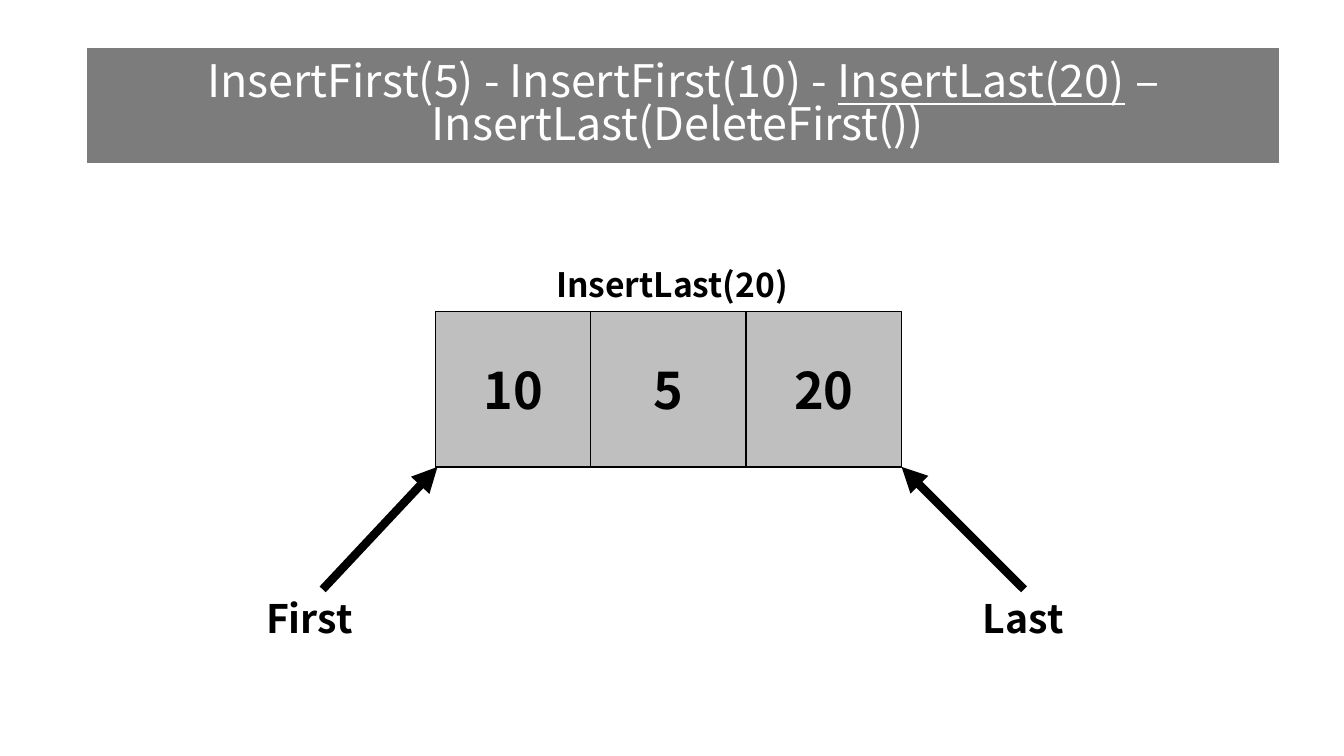
from lxml.etree import SubElement
from pptx import Presentation
from pptx.dml.color import RGBColor
from pptx.enum.shapes import MSO_CONNECTOR as Connector, MSO_SHAPE as Shape
from pptx.enum.text import MSO_ANCHOR as Anchor, MSO_AUTO_SIZE as AutoSize, PP_ALIGN as Align
from pptx.oxml.ns import qn
from pptx.util import Pt

FONT = "Noto Sans CJK KR"
COLORS = {"white": "FFFFFF", "black": "000000", "banner": "7C7C7C", "cell": "BFBFBF"}


def color(name):
    """Return the palette colour of that name."""
    return RGBColor.from_string(COLORS[name])


def place(shape, box):
    """Move a shape to a box of left, top, width and height in points."""
    shape.left, shape.top, shape.width, shape.height = (Pt(length) for length in box)


def paint(shape, fill, line):
    """Fill and outline a shape."""
    shape.fill.solid()
    shape.fill.fore_color.rgb = color(fill)
    shape.line.color.rgb = color(line)
    shape.line.width = Pt(1)


def write(para, text, size, ink="black", bold=True, underline=False):
    """Add one formatted run to a centred paragraph."""
    para.alignment = Align.CENTER
    span = para.add_run()
    span.text = text
    span.font.name = FONT
    span.font.size = Pt(size)
    span.font.bold = bold
    span.font.underline = underline
    span.font.color.rgb = color(ink)


def add_banner(page, box, spans):
    """Turn the title into a grey banner with the operations, some underlined."""
    title = page.shapes.title
    place(title, box)
    paint(title, "banner", "white")
    frame = title.text_frame
    frame.auto_size = AutoSize.NONE
    frame.vertical_anchor = Anchor.MIDDLE
    para = frame.paragraphs[0]
    para.line_spacing = 0.8
    for text, underline in spans:
        write(para, text, 32, "white", False, underline)


def add_label(page, box, text, size):
    """Add a bold centred caption."""
    label = page.shapes.add_textbox(*(Pt(length) for length in box))
    label.text_frame.word_wrap = True
    label.text_frame.auto_size = AutoSize.SHAPE_TO_FIT_TEXT
    write(label.text_frame.paragraphs[0], text, size)


def add_pointer(page, start, end):
    """Draw a thick arrow from start to end."""
    arrow = page.shapes.add_connector(Connector.STRAIGHT, *(Pt(value) for value in start + end))
    arrow.line.color.rgb = color("black")
    arrow.line.width = Pt(6)
    SubElement(arrow.line._get_or_add_ln(), qn("a:tailEnd"), type="triangle")
    SubElement(arrow._element.spPr, qn("a:effectLst"))


def add_deque(page, box, operation, values):
    """Draw the cells in a box, the operation above and the end pointers below."""
    left, top, width, height = box
    side = width / len(values)
    for index, value in enumerate(values):
        cell = page.shapes.add_shape(Shape.RECTANGLE, 0, 0, 0, 0)
        place(cell, (left + index * side, top, side, height))
        cell.shadow.inherit = False
        paint(cell, "cell", "black")
        cell.text_frame.vertical_anchor = Anchor.MIDDLE
        write(cell.text_frame.paragraphs[0], value, 36)
    add_label(page, (left + 41, top - 37.5, 256, 36), operation, 24)
    bottom = top + height
    ends = (
        ("First", left + 1.5, left - 80.5, left - 160.5),
        ("Last", left + width, left + width + 87.5, left + width + 16.5),
    )
    for name, tip, tail, label_left in ends:
        add_pointer(page, (tail, bottom + 87.5), (tip, bottom))
        add_label(page, (label_left, bottom + 87.5, 141, 41), name, 28)


def main():
    """Build and save the deck."""
    deck = Presentation()
    deck.slide_width, deck.slide_height = Pt(960), Pt(540)
    page = deck.slides.add_slide(deck.slide_layouts[5])
    add_banner(page, (62, 34, 852, 83), (
        ("InsertFirst(5) - InsertFirst(10) - ", False),
        ("InsertLast(20)", True),
        (" – InsertLast(DeleteFirst()) ", False),
    ))
    add_deque(page, (311, 222.5, 333, 111), "InsertLast(20)", ("10", "5", "20"))
    deck.save("out.pptx")


if __name__ == "__main__":
    main()
